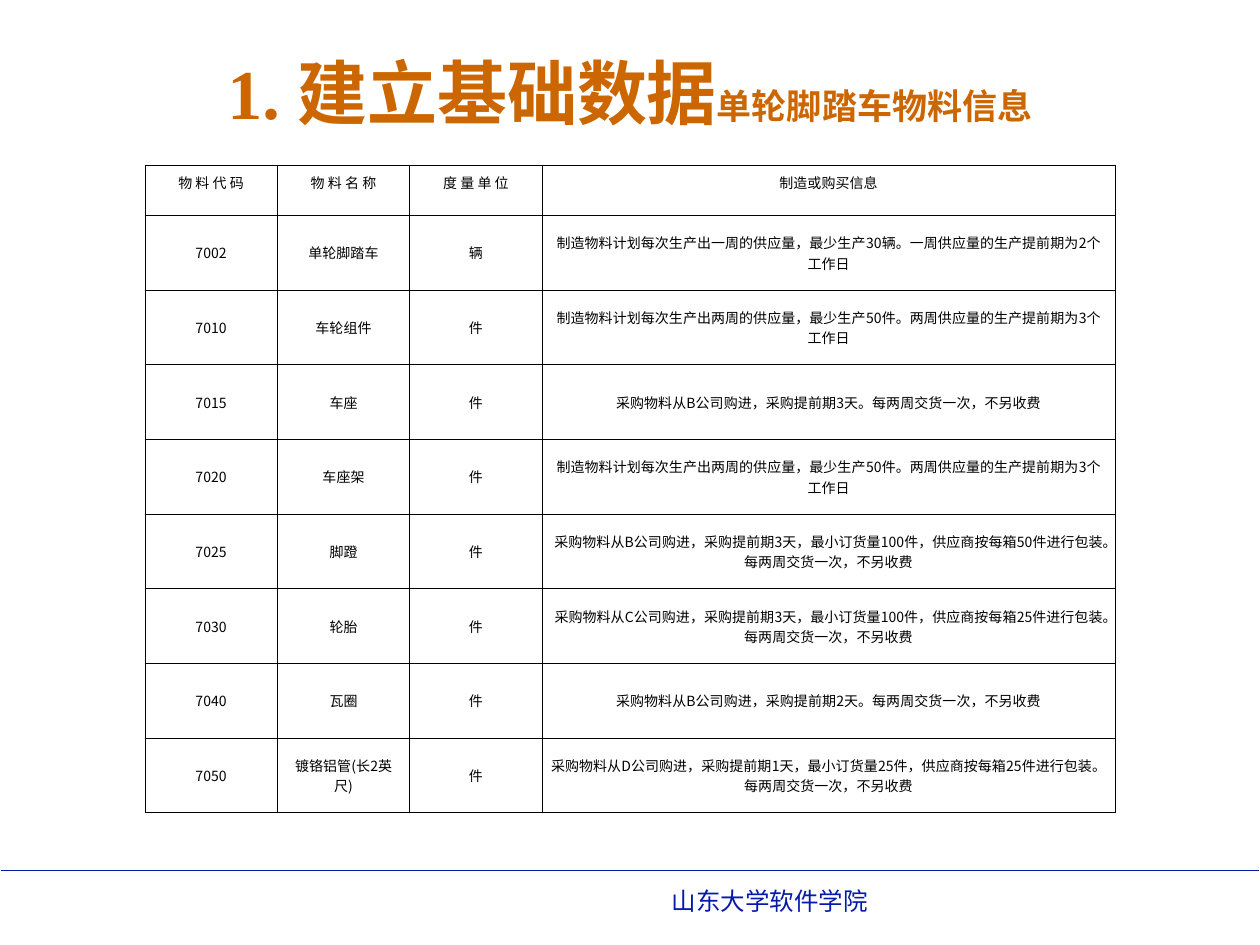
from lxml import etree
from pptx import Presentation
from pptx import util as u
from pptx.dml.color import RGBColor
from pptx.enum import shapes, text
from pptx.oxml.ns import qn

Pt = u.Pt
COLORS = {"title": "CC6600", "footer": "061AAA", "text": "000000", "grid": "080000"}
CJK = "Noto Sans CJK SC"
HEADER = ["物 料 代 码", "物 料 名 称", "度 量 单 位", "制造或购买信息"]
MAKE = "制造物料计划每次生产出{0}周的供应量，最少生产{1}。{0}周供应量的生产提前期为{2}个工作日"
BUY = "采购物料从{}公司购进，采购提前期{}天。每两周交货一次，不另收费"
BUY_BOXED = ("采购物料从{}公司购进，采购提前期{}天，最小订货量{}件，"
             "供应商按每箱{}件进行包装。每两周交货一次，不另收费")
MATERIALS = [
    ["7002", "单轮脚踏车", "辆", MAKE.format("一", "30辆", 2)],
    ["7010", "车轮组件", "件", MAKE.format("两", "50件", 3)],
    ["7015", "车座", "件", BUY.format("B", 3)],
    ["7020", "车座架", "件", MAKE.format("两", "50件", 3)],
    ["7025", "脚蹬", "件", BUY_BOXED.format("B", 3, 100, 50)],
    ["7030", "轮胎", "件", BUY_BOXED.format("C", 3, 100, 25)],
    ["7040", "瓦圈", "件", BUY.format("B", 2)],
    ["7050", "镀铬铝管(长2英尺)", "件", BUY_BOXED.format("D", 1, 25, 25)],
]


def add_run(p, words, size, color, font=CJK, bold=False):
    """Add one formatted run with its Latin and East Asian fonts."""
    r = p.add_run()
    r.text = words
    r.font.size, r.font.bold, r.font.name = Pt(size), bold, font
    r.font.color.rgb = RGBColor.from_string(COLORS[color])
    r.font.language_id = None
    etree.SubElement(r.font._element, qn("a:ea"), typeface=CJK)


def set_borders(cell, color, width):
    """Draw a solid line on all four sides of a cell."""
    tcPr = cell._tc.get_or_add_tcPr()
    for side in ("lnL", "lnR", "lnT", "lnB"):
        ln = etree.SubElement(tcPr, qn(f"a:{side}"), w=str(Pt(width)))
        fill = etree.SubElement(ln, qn("a:solidFill"))
        etree.SubElement(fill, qn("a:srgbClr"), val=COLORS[color])


def add_title(s, left, top, width, height):
    """Place the title with its smaller subtitle run."""
    sp = s.shapes.title
    sp.left, sp.top, sp.width, sp.height = map(Pt, (left, top, width, height))
    tf = sp.text_frame
    tf.auto_size = text.MSO_AUTO_SIZE.NONE
    tf.vertical_anchor = text.MSO_ANCHOR.MIDDLE
    p = tf.paragraphs[0]
    p.alignment = text.PP_ALIGN.CENTER
    for words, size in (("1. 建立基础数据", 40), ("单轮脚踏车物料信息", 20)):
        add_run(p, words, size, "title", "Times New Roman", True)


def add_materials(s, left, top, width, height):
    """Place the material table: three equal columns and a wide one."""
    rows = [HEADER] + MATERIALS
    narrow, head = 75.7, 28.4
    table = s.shapes.add_table(len(rows), len(HEADER), *map(Pt, (left, top, width, height))).table
    for i, column in enumerate(table.columns):
        column.width = Pt(narrow if i < 3 else width - 3 * narrow)
    for i, row in enumerate(rows):
        table.rows[i].height = Pt(head if i == 0 else (height - head) / len(MATERIALS))
        for j, words in enumerate(row):
            cell = table.cell(i, j)
            set_borders(cell, "grid", 0.45)
            cell.fill.background()
            if i > 0:
                cell.vertical_anchor = text.MSO_ANCHOR.MIDDLE
                cell.margin_left = cell.margin_right = Pt(5)
            p = cell.text_frame.paragraphs[0]
            p.alignment = text.PP_ALIGN.CENTER
            add_run(p, words, 8, "text")


def add_footer(s, left, top, width, height):
    """Place the rule across the slide and the school name below it."""
    line = s.shapes.add_connector(
        shapes.MSO_CONNECTOR.STRAIGHT, Pt(left), Pt(top), Pt(left + width), Pt(top))
    line.line.color.rgb = RGBColor.from_string(COLORS["footer"])
    line.line.width = Pt(1)
    etree.SubElement(line._element.spPr, qn("a:effectLst"))
    box = s.shapes.add_textbox(Pt(left + 376), Pt(top + 5), Pt(312), Pt(height - 5))
    tf = box.text_frame
    tf.word_wrap = True
    add_run(tf.paragraphs[0], "山东大学软件学院", 14, "footer", "Arial")


def main():
    """Build and save the slide."""
    prs = Presentation()
    prs.slide_width, prs.slide_height = Pt(720), Pt(540)
    s = prs.slides.add_slide(prs.slide_layouts[5])
    add_footer(s, 0.7, 497.5, 718.6, 29.5)
    add_title(s, 54, 22.3, 612, 60)
    add_materials(s, 82.8, 94.7, 554.4, 369.8)
    prs.save("out.pptx")


if __name__ == "__main__":
    main()
